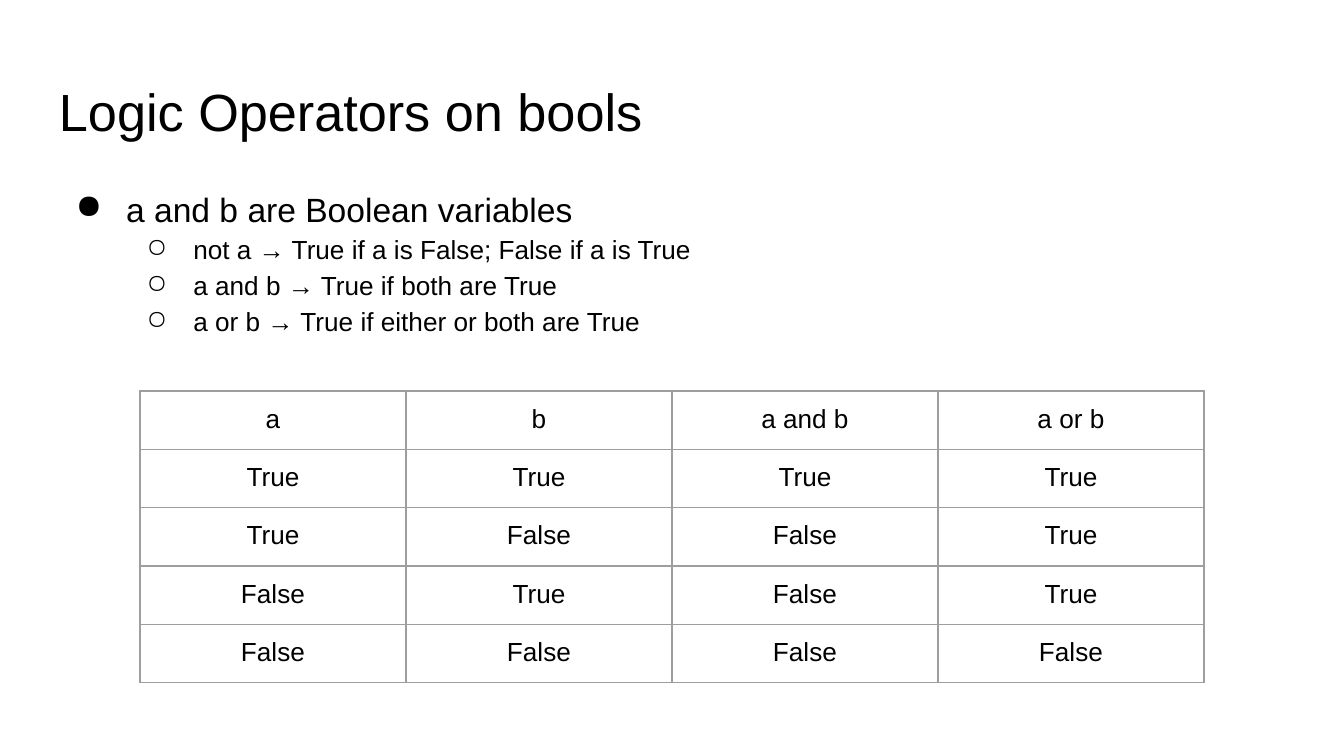
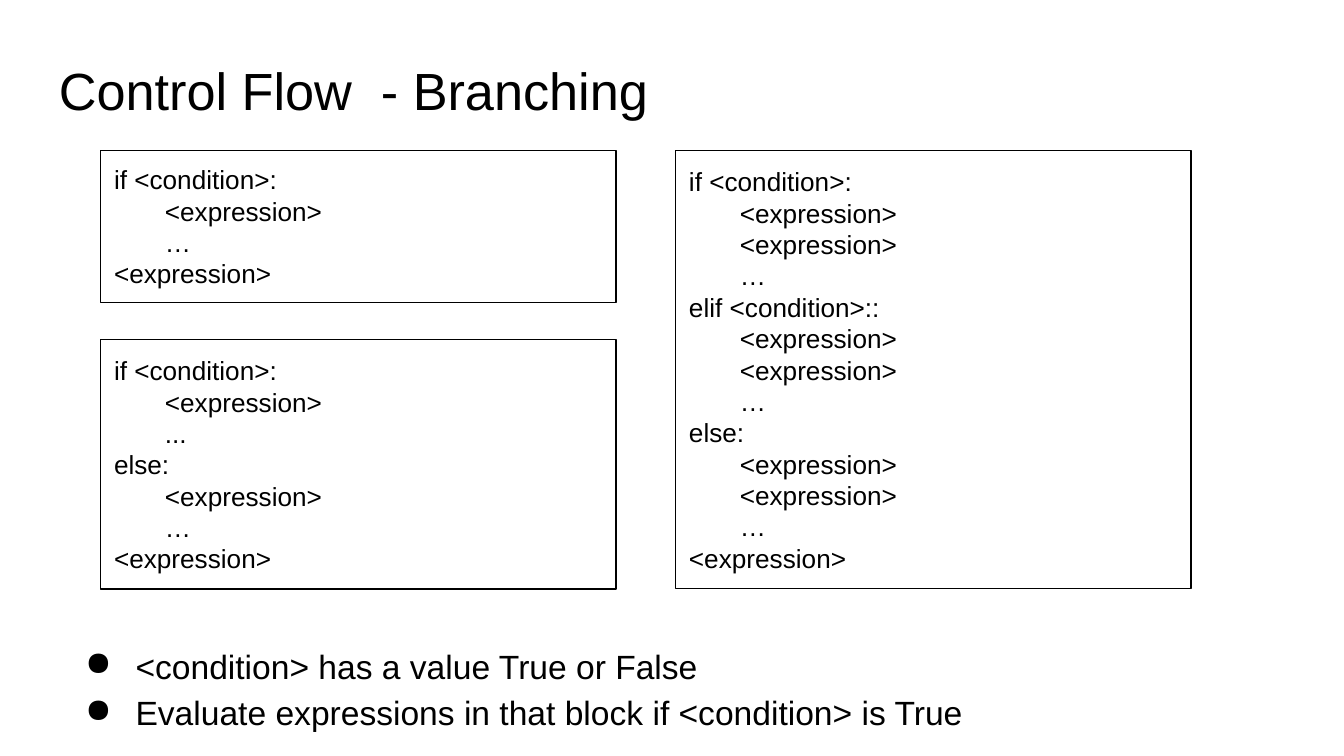
from dataclasses import dataclass

from lxml import etree
from pptx import Presentation
from pptx.dml.color import RGBColor
from pptx.enum.shapes import MSO_SHAPE
from pptx.enum.text import MSO_ANCHOR, PP_ALIGN
from pptx.oxml.ns import qn
from pptx.slide import Slide
from pptx.table import _Cell
from pptx.text.text import TextFrame, _Paragraph
from pptx.util import Pt

RECTANGLE = MSO_SHAPE.RECTANGLE
TOP, MIDDLE = MSO_ANCHOR.TOP, MSO_ANCHOR.MIDDLE
LEFT, CENTER = PP_ALIGN.LEFT, PP_ALIGN.CENTER

BLACK = RGBColor(0x00, 0x00, 0x00)
WHITE = RGBColor(0xFF, 0xFF, 0xFF)
GRID_GRAY = RGBColor(0x9E, 0x9E, 0x9E)

FONT = "Arial"
TITLE_SIZE, SMALL_SIZE = 28, 14
INSET = 7.2
RULE_WIDTH = 0.75
CONTENT_WIDTH = 671
TITLE_LEFT, TITLE_HEIGHT = 24.5, 45.5
CODE_INDENT = 27.25
COLUMN_WIDTH, ROW_HEIGHT = 142.5, 30.2


@dataclass(frozen=True)
class Box:
    left: float
    top: float
    width: float
    height: float

    def lengths(self) -> tuple[Pt, Pt, Pt, Pt]:
        return Pt(self.left), Pt(self.top), Pt(self.width), Pt(self.height)


@dataclass(frozen=True)
class BulletLevel:
    symbol: str
    size: float
    margin: float
    hanging: float


@dataclass(frozen=True)
class Bullet:
    text: str
    level: int = 0


@dataclass(frozen=True)
class CodeBlock:
    """Code listing; a tab at the start of a line marks an indented line."""
    box: Box
    code: str


BULLET_LEVELS = (BulletLevel("●", 18, 36, 27), BulletLevel("○", SMALL_SIZE, 72, 25))

LOGIC_BULLETS = (
    Bullet("a and b are Boolean variables"),
    Bullet("not a → True if a is False; False if a is True", 1),
    Bullet("a and b → True if both are True", 1),
    Bullet("a or b → True if either or both are True", 1),
)
TRUTH_HEADER = ("a", "b", "a and b", "a or b")
TRUTH_ROWS = [(str(a), str(b), str(a and b), str(a or b))
              for a in (True, False) for b in (True, False)]

BRANCH_BULLETS = (
    Bullet("<condition> has a value True or False"),
    Bullet("Evaluate expressions in that block if <condition> is True"),
)
CODE_LEFT, CODE_RIGHT, CODE_TOP, CODE_WIDTH = 54, 362, 80.5, 276
BRANCHES = (
    CodeBlock(Box(CODE_LEFT, CODE_TOP, CODE_WIDTH, 81.5),
              "if <condition>:\n\t<expression>\n\t…\n<expression>"),
    CodeBlock(Box(CODE_LEFT, 182, CODE_WIDTH, 133.5),
              "if <condition>:\n\t<expression>\n\t...\n"
              "else:\n\t<expression>\n\t…\n<expression>"),
    CodeBlock(Box(CODE_RIGHT, CODE_TOP, CODE_WIDTH, 235),
              "if <condition>:\n\t<expression>\n\t<expression>\n\t…\n"
              "elif <condition>::\n\t<expression>\n\t<expression>\n\t…\n"
              "else:\n\t<expression>\n\t<expression>\n\t…\n<expression>"),
)


def style_paragraph(paragraph: _Paragraph, size: float, align: PP_ALIGN = LEFT) -> None:
    paragraph.alignment = align
    paragraph.font.name = FONT
    paragraph.font.size = Pt(size)
    paragraph.font.color.rgb = BLACK


def set_insets(target: TextFrame | _Cell) -> None:
    target.margin_left = target.margin_right = Pt(INSET)
    target.margin_top = target.margin_bottom = Pt(INSET)


def prepare_frame(frame: TextFrame, anchor: MSO_ANCHOR) -> None:
    frame.word_wrap = True
    frame.vertical_anchor = anchor
    set_insets(frame)


def add_lines(frame: TextFrame, lines: list[str]) -> tuple[_Paragraph, ...]:
    """Write one paragraph for each line and return the paragraphs."""
    frame.text = "\n".join(lines)
    return frame.paragraphs


def set_indent(paragraph: _Paragraph, margin: float, first_line: float = 0) -> None:
    properties = paragraph._p.get_or_add_pPr()
    properties.set("marL", str(Pt(margin)))
    properties.set("indent", str(Pt(first_line)))


def add_title(slide: Slide, title: str, top: float) -> None:
    box = Box(TITLE_LEFT, top, CONTENT_WIDTH, TITLE_HEIGHT)
    frame = slide.shapes.add_textbox(*box.lengths()).text_frame
    prepare_frame(frame, TOP)
    frame.text = title
    style_paragraph(frame.paragraphs[0], TITLE_SIZE)


def add_bullets(slide: Slide, box: Box, bullets: tuple[Bullet, ...]) -> None:
    frame = slide.shapes.add_textbox(*box.lengths()).text_frame
    prepare_frame(frame, TOP)
    paragraphs = add_lines(frame, [bullet.text for bullet in bullets])
    for paragraph, bullet in zip(paragraphs, bullets):
        level = BULLET_LEVELS[bullet.level]
        style_paragraph(paragraph, level.size)
        paragraph.level = bullet.level
        paragraph.line_spacing = 1.15
        set_indent(paragraph, level.margin, -level.hanging)
        symbol = etree.Element(qn("a:buChar"), char=level.symbol)
        paragraph._p.pPr.find(qn("a:defRPr")).addprevious(symbol)


def add_code(slide: Slide, block: CodeBlock) -> None:
    shape = slide.shapes.add_shape(RECTANGLE, *block.box.lengths())
    shape.shadow.inherit = False
    shape.fill.background()
    shape.line.color.rgb = BLACK
    shape.line.width = Pt(RULE_WIDTH)
    prepare_frame(shape.text_frame, MIDDLE)
    lines = block.code.split("\n")
    paragraphs = add_lines(shape.text_frame, [line.lstrip("\t") for line in lines])
    for paragraph, line in zip(paragraphs, lines):
        style_paragraph(paragraph, SMALL_SIZE)
        if line.startswith("\t"):
            set_indent(paragraph, CODE_INDENT)


def set_borders(cell: _Cell) -> None:
    properties = cell._tc.get_or_add_tcPr()
    for position, side in enumerate(("lnL", "lnR", "lnT", "lnB")):
        border = etree.Element(qn(f"a:{side}"), w=str(Pt(RULE_WIDTH)))
        fill = etree.SubElement(border, qn("a:solidFill"))
        etree.SubElement(fill, qn("a:srgbClr"), val=str(GRID_GRAY))
        properties.insert(position, border)


def add_truth_table(slide: Slide, left: float, top: float) -> None:
    rows = [TRUTH_HEADER, *TRUTH_ROWS]
    box = Box(left, top, COLUMN_WIDTH * len(TRUTH_HEADER), ROW_HEIGHT * len(rows))
    table = slide.shapes.add_table(len(rows), len(TRUTH_HEADER), *box.lengths()).table
    table.first_row = table.horz_banding = False
    for row_index, row in enumerate(rows):
        for column_index, value in enumerate(row):
            cell = table.cell(row_index, column_index)
            cell.text = value
            cell.fill.background()
            set_insets(cell)
            set_borders(cell)
            style_paragraph(cell.text_frame.paragraphs[0], SMALL_SIZE, CENTER)


def add_blank_slide(presentation: Presentation) -> Slide:
    slide = presentation.slides.add_slide(presentation.slide_layouts[6])
    slide.background.fill.solid()
    slide.background.fill.fore_color.rgb = WHITE
    return slide


def main() -> None:
    presentation = Presentation()
    presentation.slide_width, presentation.slide_height = Pt(720), Pt(405)

    logic = add_blank_slide(presentation)
    add_title(logic, "Logic Operators on bools", 35.3)
    add_bullets(logic, Box(TITLE_LEFT, 90.75, CONTENT_WIDTH, 269), LOGIC_BULLETS)
    add_truth_table(logic, 75, 209.5)

    branching = add_blank_slide(presentation)
    add_title(branching, "Control Flow  - Branching", 24)
    add_bullets(branching, Box(29.5, 335.5, CONTENT_WIDTH, 64), BRANCH_BULLETS)
    for block in BRANCHES:
        add_code(branching, block)

    presentation.save("out.pptx")


if __name__ == "__main__":
    main()
